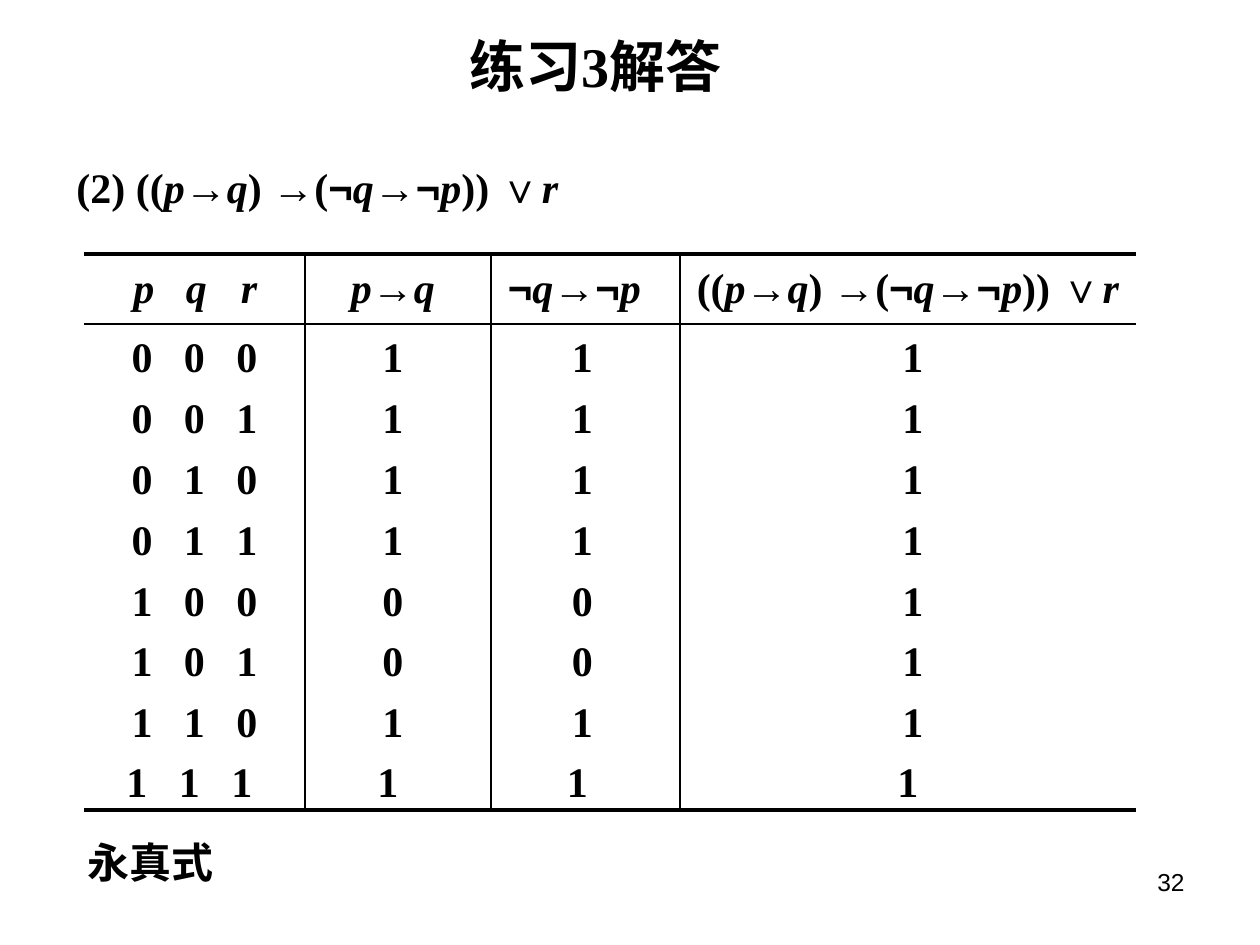
"""Builds the truth-table answer slide for exercise 3."""
from dataclasses import dataclass
from itertools import accumulate, groupby, product

from lxml import etree
from pptx import Presentation
from pptx import util as u
from pptx.dml.color import RGBColor
from pptx.enum import shapes, text as t
from pptx.oxml import ns

SCALE = 914400 / 126
INK = {"text": "000000", "line": "000000"}
SERIF, SANS = "Times New Roman", "Arial"
GOAL = "((p→q) →(¬q→¬p)) ∨r"
PLAIN = "{2D5ABB26-0587-4C30-8999-92F81FD0307C}"
THICK, THIN = 2.25, 1


@dataclass
class Label:
    text: str
    left: int
    top: int
    width: int
    height: int
    size: int = 24
    bold: bool = True
    face: str = ""
    align: t.PP_ALIGN = t.PP_ALIGN.LEFT
    anchor: t.MSO_ANCHOR = t.MSO_ANCHOR.TOP
    wrap: bool = True


@dataclass
class Column:
    head: str
    width: int
    shift: int
    nudge: int = 0


@dataclass
class Rule:
    x1: int
    y1: int
    x2: int
    y2: int
    weight: float = THIN


LABELS = [
    Label("练习3解答", 273, 36, 645, 58, size=32,
          align=t.PP_ALIGN.CENTER, anchor=t.MSO_ANCHOR.MIDDLE),
    Label("(2) " + GOAL, 64, 155, 635, 63),
    Label("永真式", 75, 830, 151, 63, anchor=t.MSO_ANCHOR.MIDDLE, wrap=False),
    Label("32", 903, 861, 294, 66, size=14, bold=False, face=SANS,
          align=t.PP_ALIGN.RIGHT),
]
COLUMNS = [
    Column("p", 84, 16, nudge=2),
    Column("q", 53, 0, nudge=2),
    Column("r", 84, -16, nudge=2),
    Column("p→q", 186, -5),
    Column("¬q→¬p", 189, -3, nudge=-8),
    Column(GOAL, 456, 5, nudge=-5),
]
HEIGHTS = [70] + [61] * 7 + [59]
LEFT, TOP = 84, 254
XS = list(accumulate((col.width for col in COLUMNS), initial=LEFT))
YS = list(accumulate(HEIGHTS, initial=TOP))
RULES = [Rule(LEFT, y, XS[-1], y, weight) for y, weight in
         ((TOP, THICK), (YS[1], THIN), (YS[-1], THICK))]
RULES += [Rule(x, TOP, x, YS[-1]) for x in XS[3:6]]


def px(n: int) -> u.Emu:
    """Turn px into EMU."""
    return u.Emu(round(n * SCALE))


def style(char: str) -> tuple[str, bool]:
    """Give the font and slant of one character."""
    return (SANS if char in "→¬∨练习" else SERIF), char in "pqr"


def write(frame, words: str, *, size: int = 24, bold: bool = True,
          face: str = "", align: t.PP_ALIGN = t.PP_ALIGN.CENTER) -> None:
    """Fill a text frame, with variables slanted and symbols in their font."""
    para = frame.paragraphs[0]
    para.alignment = align
    for (name, slant), chars in groupby(words, style):
        run = para.add_run()
        run.text = "".join(chars)
        font = run.font
        font.name = face or name
        font.size = u.Pt(size)
        font.bold, font.italic = bold, slant
        font.color.rgb = RGBColor.from_string(INK["text"])


def label(slide, item: Label) -> None:
    """Draw one text box."""
    box = slide.shapes.add_textbox(px(item.left), px(item.top),
                                   px(item.width), px(item.height))
    frame = box.text_frame
    frame.word_wrap = item.wrap
    frame.vertical_anchor = item.anchor
    write(frame, item.text, size=item.size, bold=item.bold,
          face=item.face, align=item.align)


def rule(slide, item: Rule) -> None:
    """Draw one straight line of the table."""
    line = slide.shapes.add_connector(
        shapes.MSO_CONNECTOR.STRAIGHT, px(item.x1), px(item.y1),
        px(item.x2), px(item.y2))
    line.line.width = u.Pt(item.weight)
    line.line.color.rgb = RGBColor.from_string(INK["line"])
    etree.SubElement(line._element.spPr, ns.qn("a:effectLst"))


def truth() -> list[list[str]]:
    """List the head and the eight rows of values."""
    rows = [[col.head for col in COLUMNS]]
    for p, q, r in product((0, 1), repeat=3):
        left = int(not p or q)
        right = int(q or not p)
        goal = int(not left or right or r)
        rows.append([str(v) for v in (p, q, r, left, right, goal)])
    return rows


def grid(slide) -> None:
    """Draw the truth table, its words moved off centre by each shift."""
    rows = truth()
    table = slide.shapes.add_table(
        len(rows), len(COLUMNS), px(LEFT), px(TOP),
        px(XS[-1] - LEFT), px(YS[-1] - TOP)).table
    table.first_row = table.horz_banding = False
    table._tbl.tblPr.find(ns.qn("a:tableStyleId")).text = PLAIN
    for j, col in enumerate(COLUMNS):
        table.columns[j].width = px(col.width)
    for i, row in enumerate(rows):
        table.rows[i].height = px(HEIGHTS[i])
        last = i == len(rows) - 1
        for j, col in enumerate(COLUMNS):
            cell = table.cell(i, j)
            cell.fill.background()
            cell.vertical_anchor = t.MSO_ANCHOR.MIDDLE
            move = col.shift + (-5 if last else 0 if i else col.nudge)
            cell.margin_left = px(max(0, 2 * move))
            cell.margin_right = px(max(0, -2 * move))
            cell.margin_top, cell.margin_bottom = px(7 if i else 0), 0
            write(cell.text_frame, row[j])


def main() -> None:
    """Build and save the slide."""
    deck = Presentation()
    deck.slide_width, deck.slide_height = px(1260), px(945)
    slide = deck.slides.add_slide(deck.slide_layouts[6])
    for item in LABELS:
        label(slide, item)
    grid(slide)
    for item in RULES:
        rule(slide, item)
    deck.save("out.pptx")


if __name__ == "__main__":
    main()
